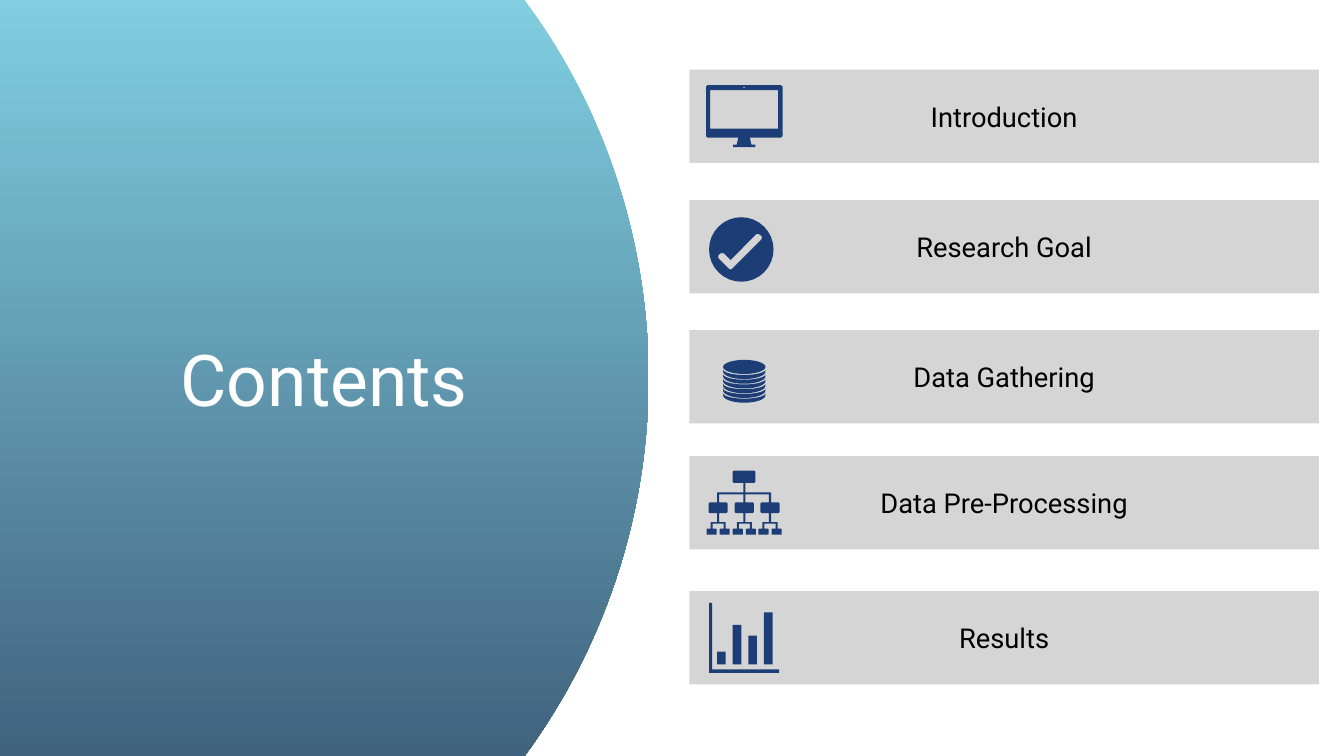
"""Build the contents slide: a curved title panel and five bars with icons."""
from dataclasses import dataclass
from math import cos, pi, sin

from pptx import Presentation
from pptx.dml.color import RGBColor
from pptx.enum.shapes import MSO_SHAPE
from pptx.enum.text import MSO_ANCHOR, MSO_AUTO_SIZE, PP_ALIGN
from pptx.util import Pt

RECT = MSO_SHAPE.RECTANGLE
MIDDLE = MSO_ANCHOR.MIDDLE
NO_FIT = MSO_AUTO_SIZE.NONE
CENTER = PP_ALIGN.CENTER
PX = 9144
STEPS = 32


@dataclass(frozen=True)
class Theme:
    font: str = "Roboto"
    title_size: int = 102
    label_size: int = 39
    title: RGBColor = RGBColor.from_string("FFFFFF")
    label: RGBColor = RGBColor.from_string("000000")
    bar: RGBColor = RGBColor.from_string("D5D5D5")
    icon: RGBColor = RGBColor.from_string("1C3D76")
    panel_top: RGBColor = RGBColor.from_string("80CEE0")
    panel_bottom: RGBColor = RGBColor.from_string("41637E")


def box(left, top, right, bottom, cut=0):
    return [(left + cut, top), (right - cut, top), (right, top + cut),
            (right, bottom - cut), (right - cut, bottom), (left + cut, bottom),
            (left, bottom - cut), (left, top + cut)]


def outline(shapes, contours):
    start = contours[0][0]
    builder = shapes.build_freeform(start[0] * PX, start[1] * PX)
    for i, points in enumerate(contours):
        if i:
            builder.move_to(points[0][0] * PX, points[0][1] * PX)
        builder.add_line_segments([(x * PX, y * PX) for x, y in points[1:]])
    sp = builder.convert_to_shape()
    sp.shadow.inherit = False
    sp.line.fill.background()
    sp.fill.solid()
    sp.fill.fore_color.rgb = theme.icon
    return sp


theme = Theme()
prs = Presentation()
prs.slide_width, prs.slide_height = 2667 * PX, 1500 * PX
s = prs.slides.add_slide(prs.slide_layouts[5])

# Title panel
edge = [(0, 0)]
for curve in (((1041, 0), (1204, 221), (1290, 489), (1287, 764)),
              ((1287, 764), (1284, 1029), (1198, 1286), (1041, 1500))):
    for i in range(STEPS + 1):
        t = i / STEPS
        weights = ((1 - t) ** 3, 3 * t * (1 - t) ** 2, 3 * t ** 2 * (1 - t), t ** 3)
        edge.append(tuple(sum(w * p[axis] for w, p in zip(weights, curve))
                          for axis in (0, 1)))
edge.append((0, 1500))
panel = outline(s.shapes, [edge])
panel.fill.gradient()
panel.fill.gradient_angle = 270
for stop, color in zip(panel.fill.gradient_stops, (theme.panel_top, theme.panel_bottom)):
    stop.color.rgb = color

title = s.shapes.title
title.left, title.top, title.width, title.height = 0, 0, 1287 * PX, 1500 * PX
panel.element.addnext(title.element)
texts = [(title, "Contents", theme.title_size, theme.title)]

# Bars
for top, label in ((138, "Introduction"), (397, "Research Goal"), (655, "Data Gathering"),
                   (905, "Data Pre-Processing"), (1173, "Results")):
    bar = s.shapes.add_shape(RECT, 1368 * PX, top * PX, 1249 * PX, 185 * PX)
    bar.shadow.inherit = False
    bar.fill.solid()
    bar.fill.fore_color.rgb = theme.bar
    bar.line.fill.background()
    texts.append((bar, label, theme.label_size, theme.label))

for sp, text, size, color in texts:
    tf = sp.text_frame
    tf.text = text
    tf.word_wrap = True
    tf.auto_size = NO_FIT
    tf.vertical_anchor = MIDDLE
    tf.margin_left = tf.margin_right = tf.margin_top = tf.margin_bottom = 6 * PX
    p = tf.paragraphs[0]
    p.alignment = CENTER
    font = p.runs[0].font
    font.name, font.size, font.color.rgb = theme.font, Pt(size), color

# Icons
stand = [(1465, 273), (1488, 273), (1491, 287), (1499, 287), (1499, 292),
         (1455, 292), (1455, 287), (1462, 287)]
monitor = [box(1401, 169, 1553, 273, 3), box(1409, 179, 1544, 255),
           box(1475, 172, 1478, 175, 1), stand]

arc = [pi * i / STEPS for i in range(STEPS + 1)]
disc = [(1471 + 64 * cos(2 * a), 495 + 64 * sin(2 * a)) for a in arc]
tick = [(1504, 464), (1507, 465), (1511, 468), (1512, 472), (1511, 475), (1453, 533),
        (1450, 535), (1446, 533), (1426, 513), (1425, 510), (1426, 506), (1429, 503),
        (1433, 502), (1437, 503), (1450, 516), (1500, 465)]

database = [[(1477 + 42 * cos(2 * a), 728 + 14 * sin(2 * a)) for a in arc]]
for layer in range(6):
    y = 733 + 9.4 * layer
    lower = [(1477 + 42 * cos(a), y + 4 + 15 * sin(a)) for a in arc]
    upper = [(1477 + 42 * cos(a), y + 11 * sin(a)) for a in reversed(arc)]
    database.append(lower + upper)

tree = [box(1454, 934, 1499, 958, 2), box(1475, 958, 1479, 977), box(1423, 977, 1530, 981)]
for x in (1425, 1477, 1528):
    tree += [box(x - 2, 981, x + 2, 997), box(x - 19, 997, x + 19, 1018, 2),
             box(x - 2, 1018, x + 2, 1036), box(x - 15, 1036, x + 15, 1039)]
    for leaf in (x - 13, x + 13):
        tree += [box(leaf - 2, 1039, leaf + 2, 1049), box(leaf - 10, 1049, leaf + 10, 1061, 1)]

axes = [(1407, 1196), (1413, 1196), (1413, 1328), (1546, 1328), (1546, 1335), (1407, 1335)]
columns = [box(1423 + 31 * i, top, 1440 + 31 * i, 1318)
           for i, top in enumerate((1293, 1240, 1261, 1215))]

for icon in (monitor, [disc, tick], database, tree, [axes] + columns):
    outline(s.shapes, icon)

prs.save("out.pptx")
